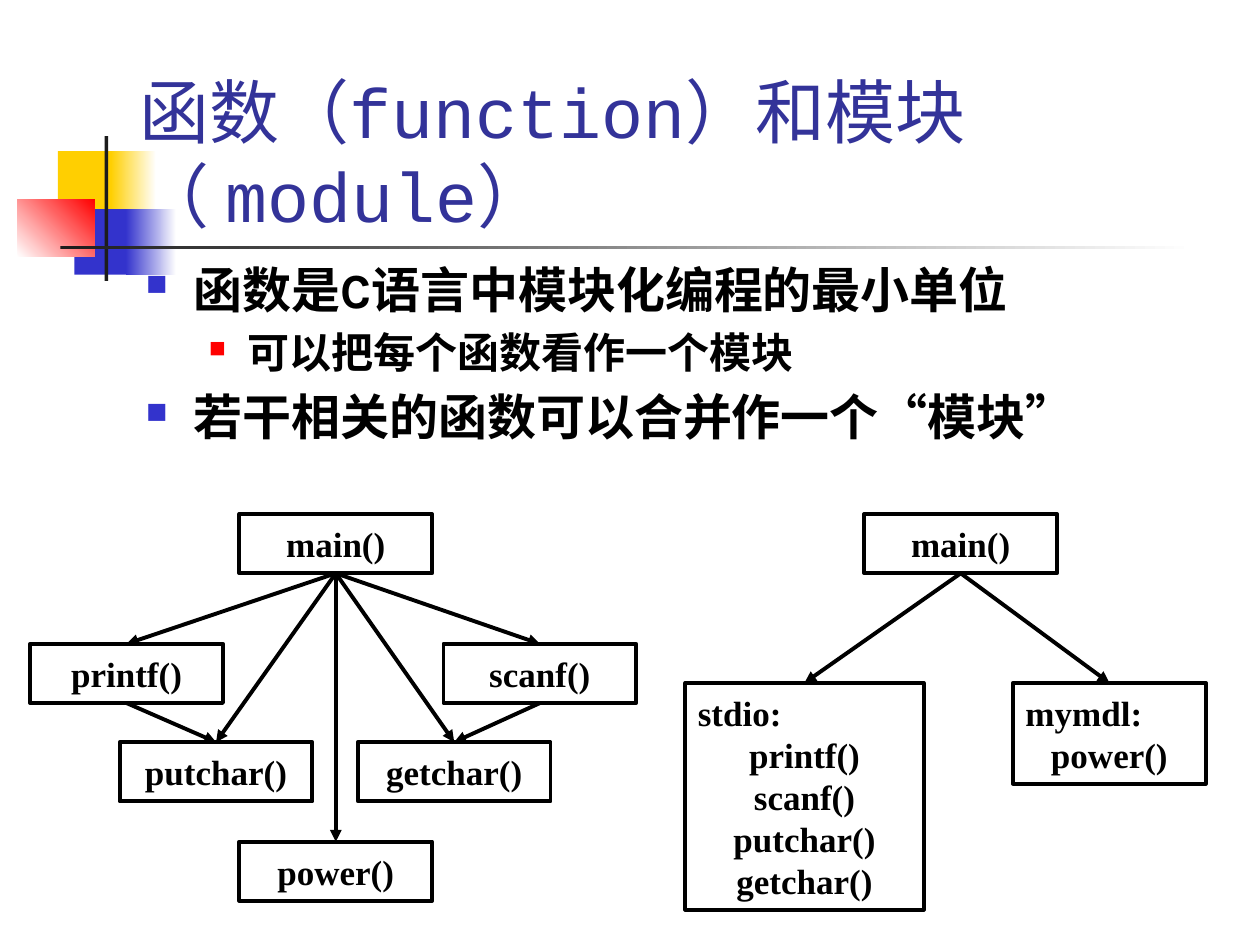
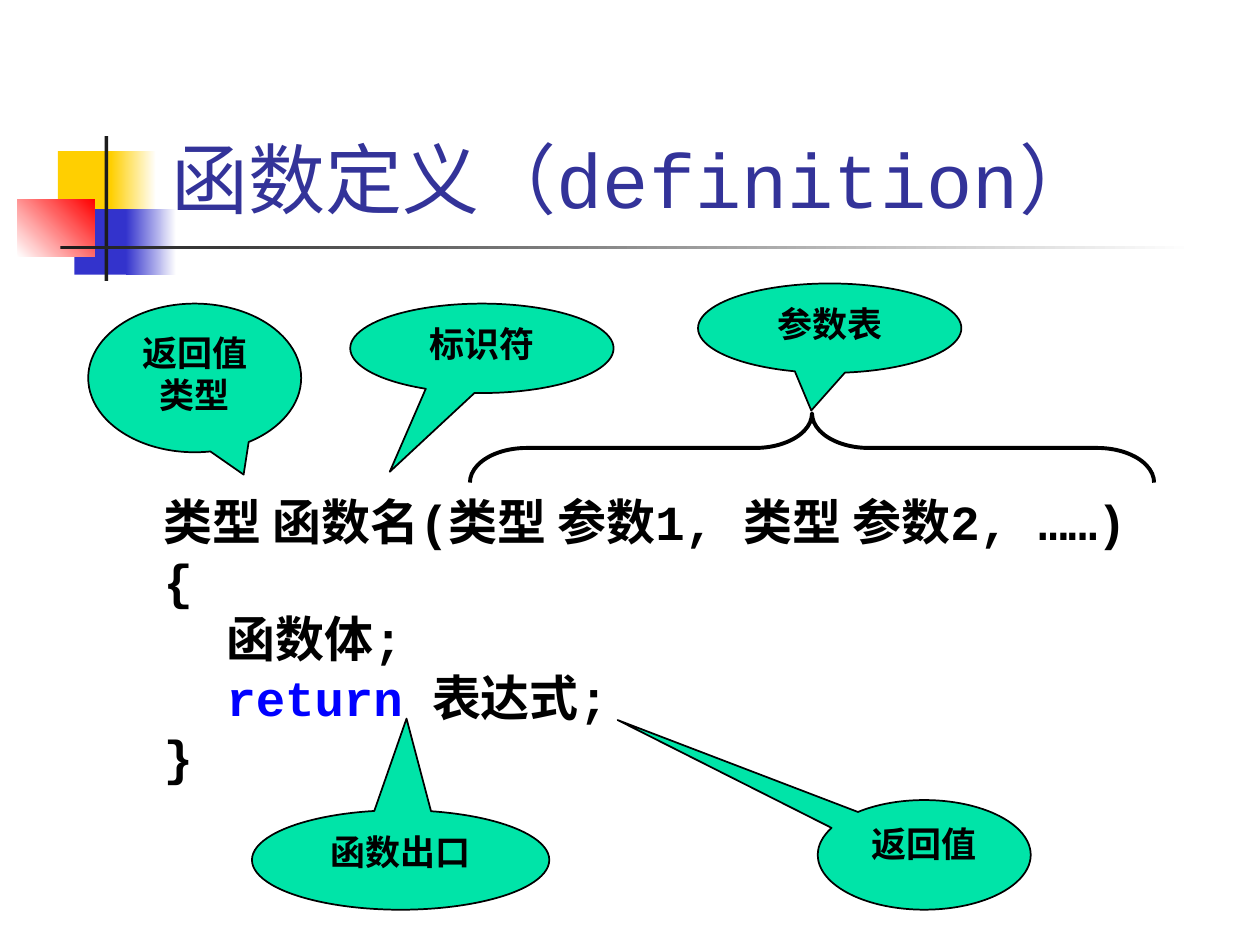
from lxml.etree import SubElement
from pptx import Presentation
from pptx.dml.color import RGBColor
from pptx.enum.shapes import MSO_CONNECTOR, MSO_SHAPE
from pptx.enum.text import MSO_ANCHOR, MSO_AUTO_SIZE, PP_ALIGN
from pptx.oxml.ns import qn
from pptx.util import Emu, Pt

PX = 9144  # 100 px to the inch
SLIDE_SIZE = (1000, 750)

BLACK = RGBColor(0x00, 0x00, 0x00)
WHITE = RGBColor(0xFF, 0xFF, 0xFF)
YELLOW = RGBColor(0xFF, 0xCF, 0x01)
BLUE = RGBColor(0x33, 0x33, 0xCC)
RED = RGBColor(0xFF, 0x00, 0x00)
INK = RGBColor(0x1C, 0x1C, 0x1C)
TITLE_BLUE = RGBColor(0x33, 0x33, 0x99)
KEYWORD_BLUE = RGBColor(0x00, 0x00, 0xFF)
GREEN = RGBColor(0x00, 0xE4, 0xA8)

MONO, SANS, SERIF = "Courier New", "Karla", "Times New Roman"
LABEL_FONT = {"name": SERIF, "size": Pt(20), "bold": True}
CODE_FONT = {"name": MONO, "size": Pt(28), "bold": True}
TOP, BOTTOM = 0, 2  # connection sites of a rectangle

# Bullet levels: text size, left margin, hanging indent, bullet colour, bullet size
BULLET_LEVELS = [(28, 38, 38, BLUE, 60), (24, 81, 31, RED, 55)]


def emu(*lengths):
    return [Emu(length * PX) for length in lengths]


def set_format(target, values):
    for name, value in values.items():
        setattr(target, name, value)


def add_run(paragraph, text, font, color=BLACK):
    run = paragraph.add_run()
    run.text = text
    set_format(run.font, font)
    run.font.color.rgb = color


def add_paragraphs(frame, count):
    return [frame.paragraphs[0]] + [frame.add_paragraph() for _ in range(count - 1)]


def add_figure(slide, kind, box, fill=None, line_width=None):
    """Preset shape with a solid, a gradient (start, end, angle) or no fill."""
    figure = slide.shapes.add_shape(kind, *emu(*box))
    figure.shadow.inherit = False
    if fill is None:
        figure.fill.background()
    elif isinstance(fill, RGBColor):
        figure.fill.solid()
        figure.fill.fore_color.rgb = fill
    else:
        *ends, angle = fill
        figure.fill.gradient()
        figure.fill.gradient_angle = angle
        for stop, color in zip(figure.fill.gradient_stops, ends):
            stop.color.rgb = color
    if line_width:
        figure.line.color.rgb = BLACK
        figure.line.width = Pt(line_width)
    else:
        figure.line.fill.background()
    return figure


def add_text_area(slide, box):
    frame = slide.shapes.add_textbox(*emu(*box)).text_frame
    frame.word_wrap = True
    return frame


def decorate_layout(layout, slide):
    """Draw the coloured squares and rules, then hand them to the shared layout."""
    for box, fill in [
        ((46, 120, 48, 52), YELLOW),
        ((88, 120, 36, 52), (YELLOW, WHITE, 0)),
        ((59, 166, 46, 52), BLUE),
        ((100, 166, 40, 52), (BLUE, WHITE, 0)),
        ((14, 158, 61, 46), (WHITE, RED, 45)),
        ((83, 108, 3, 115), INK),
        ((48, 195, 900, 3), (INK, WHITE, 0)),
    ]:
        part = add_figure(slide, MSO_SHAPE.RECTANGLE, box, fill)
        layout.shapes.element.append(part.element)


def set_title(slide, box, text, size):
    title = slide.shapes.title
    set_format(title, dict(zip(("left", "top", "width", "height"), emu(*box))))
    set_format(title.text_frame, {"vertical_anchor": MSO_ANCHOR.BOTTOM,
                                  "auto_size": MSO_AUTO_SIZE.NONE, "word_wrap": True})
    paragraph = title.text_frame.paragraphs[0]
    paragraph.alignment = PP_ALIGN.LEFT
    add_run(paragraph, text, {"name": MONO, "size": Pt(size)}, TITLE_BLUE)


def add_bullet(paragraph, level):
    size, margin, hanging, color, percent = BULLET_LEVELS[level]
    paragraph.space_before = Pt(size * 0.2)
    properties = paragraph._p.get_or_add_pPr()
    properties.set("marL", str(margin * PX))
    properties.set("indent", str(-hanging * PX))
    bullet_color = SubElement(properties, qn("a:buClr"))
    SubElement(bullet_color, qn("a:srgbClr"), val=str(color))
    SubElement(properties, qn("a:buSzPct"), val=str(percent * 1000))
    SubElement(properties, qn("a:buChar"), char="■")


def add_bullet_list(slide, box, items):
    frame = add_text_area(slide, box)
    for paragraph, (level, runs) in zip(add_paragraphs(frame, len(items)), items):
        add_bullet(paragraph, level)
        for text, font_name in runs:
            size = Pt(BULLET_LEVELS[level][0])
            add_run(paragraph, text, {"name": font_name, "size": size, "bold": True})


def add_function_box(slide, box, lines):
    """Outlined box; in a module box the heading is left and its functions centred."""
    node = add_figure(slide, MSO_SHAPE.RECTANGLE, box, line_width=2.25)
    node.text_frame.vertical_anchor = MSO_ANCHOR.MIDDLE
    for paragraph, line in zip(add_paragraphs(node.text_frame, len(lines)), lines):
        paragraph.alignment = PP_ALIGN.LEFT if line.endswith(":") else PP_ALIGN.CENTER
        add_run(paragraph, line, LABEL_FONT)
    return node


def add_call_arrow(slide, caller, callee):
    arrow = slide.shapes.add_connector(MSO_CONNECTOR.STRAIGHT, 0, 0, 0, 0)
    arrow.begin_connect(caller, BOTTOM)
    arrow.end_connect(callee, TOP)
    arrow.line.color.rgb = BLACK
    arrow.line.width = Pt(2.25)
    properties = arrow.element.spPr
    SubElement(properties.find(qn("a:ln")), qn("a:tailEnd"), type="triangle")
    SubElement(properties, qn("a:effectLst"))


def add_call_tree(slide, origin, nodes, calls):
    left, top = origin
    boxes = {}
    for name, (x, y, width, height, lines) in nodes.items():
        boxes[name] = add_function_box(slide, (left + x, top + y, width, height), lines)
    for caller, callee in calls:
        add_call_arrow(slide, boxes[caller], boxes[callee])


def add_callout(slide, box, pointer, text):
    callout = add_figure(slide, MSO_SHAPE.OVAL_CALLOUT, box, GREEN, 1)
    for index, offset in enumerate(pointer):
        callout.adjustments[index] = offset
    set_format(callout.text_frame, {"vertical_anchor": MSO_ANCHOR.TOP, "word_wrap": True})
    paragraph = callout.text_frame.paragraphs[0]
    paragraph.alignment = PP_ALIGN.CENTER
    add_run(paragraph, text, LABEL_FONT)


def add_code(slide, box, lines):
    frame = add_text_area(slide, box)
    for paragraph, runs in zip(add_paragraphs(frame, len(lines)), lines):
        for text, color in runs:
            add_run(paragraph, text, CODE_FONT, color)


def add_parameter_brace(slide, box):
    """Brace over the parameter list: an upright one turned about its centre."""
    left, top, width, height = box
    upright = (left + (width - height) // 2, top + (height - width) // 2, height, width)
    brace = add_figure(slide, MSO_SHAPE.RIGHT_BRACE, upright, line_width=2.25)
    brace.rotation = 270
    brace.adjustments[0] = 0.82
    brace.adjustments[1] = 0.5


def build_modules_slide(slide):
    set_title(slide, (101, 101, 927, 92), "函数（function）和模块（ module）", 40)
    add_bullet_list(slide, (106, 201, 850, 450), [
        (0, [("函数是C语言中模块化编程的最小单位", SANS)]),
        (1, [("可以把每个函数看作一个模块", SANS)]),
        (0, [("若干相关的函数可以合并作一个", SANS), ("“", SERIF),
             ("模块", SANS), ("”", SERIF)]),
    ])

    # Every function called on its own
    places = {"main": (166, 0), "printf": (0, 103), "scanf": (328, 103),
              "putchar": (71, 181), "getchar": (260, 181), "power": (166, 260)}
    functions = {name: (*place, 153, 47, [f"{name}()"]) for name, place in places.items()}
    calls = [("main", name) for name in places if name != "main"]
    calls += [("printf", "putchar"), ("scanf", "getchar")]
    add_call_tree(slide, (24, 408), functions, calls)

    # The same functions gathered into modules
    modules = {
        "main": (142, 0, 153, 47, ["main()"]),
        "stdio": (0, 134, 189, 180,
                  ["stdio:", "printf()", "scanf()", "putchar()", "getchar()"]),
        "mymdl": (260, 134, 153, 80, ["mymdl:", "power()"]),
    }
    add_call_tree(slide, (544, 408), modules, [("main", "stdio"), ("main", "mymdl")])


def build_definition_slide(slide):
    set_title(slide, (126, 23, 852, 160), "函数定义（definition）", 44)
    add_code(slide, (120, 385, 900, 364), [
        [("类型 函数名(类型 参数1, 类型 参数2, ……)", BLACK)],
        [("{", BLACK)],
        [("\t函数体;", BLACK)],
        [("\t", BLACK), ("return ", KEYWORD_BLUE), ("表达式;", BLACK)],
        [("}", BLACK)],
    ])
    add_parameter_brace(slide, (373, 328, 543, 55))
    for box, pointer, text in [
        ((70, 241, 169, 118), (0.23, 0.65), "返回值类型"),
        ((278, 241, 209, 71), (-0.35, 1.38), "标识符"),
        ((554, 225, 209, 71), (-0.07, 0.92), "参数表"),
        ((649, 635, 169, 87), (-1.44, -1.23), "返回值"),
        ((200, 643, 236, 79), (0.02, -1.42), "函数出口"),
    ]:
        add_callout(slide, box, pointer, text)


def main():
    deck = Presentation()
    deck.slide_width, deck.slide_height = emu(*SLIDE_SIZE)
    title_only = deck.slide_layouts[5]
    modules_slide, definition_slide = [deck.slides.add_slide(title_only) for _ in range(2)]
    decorate_layout(title_only, modules_slide)
    build_modules_slide(modules_slide)
    build_definition_slide(definition_slide)
    deck.save("out.pptx")


if __name__ == "__main__":
    main()
